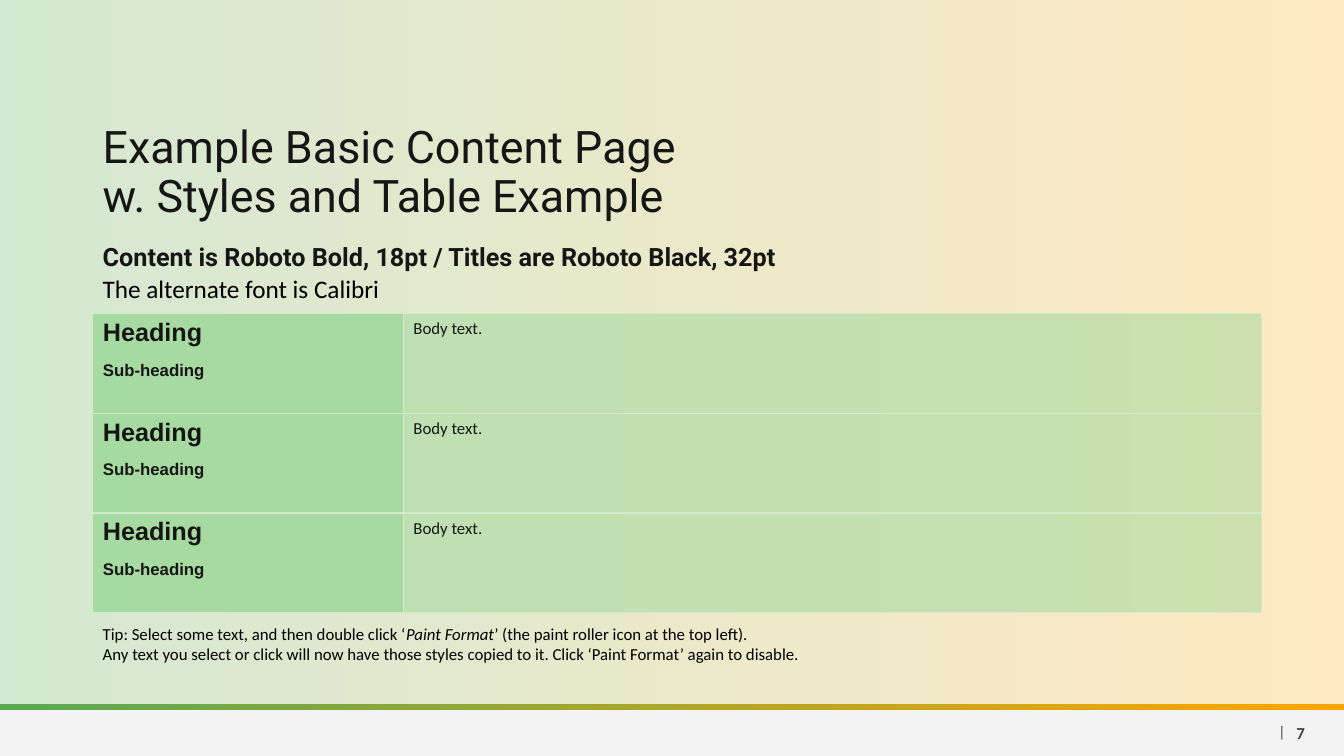
from dataclasses import dataclass
from typing import Optional

import pptx
import pptx.dml.color
import pptx.enum.shapes
import pptx.enum.text
import pptx.oxml
import pptx.oxml.ns
import pptx.util
from pptx.util import Inches

ALIGN = pptx.enum.text.PP_ALIGN
ANCHOR = pptx.enum.text.MSO_ANCHOR


@dataclass(frozen=True)
class Theme:
    ink: str = "171616"
    black: str = "000000"
    footer_ink: str = "434343"
    footer_fill: str = "F3F3F3"
    green: str = "5AA854"
    orange: str = "FFA500"
    cell: str = "9FD99A"
    grid: str = "D4E9CC"
    display: str = "Roboto"
    body: str = "Calibri"
    heading: str = "Arial"
    title_size: int = 32
    lead_size: int = 18
    small_size: int = 12
    divider_size: int = 11


THEME = Theme()


@dataclass(frozen=True)
class Style:
    font: str
    size: int
    color: str
    bold: bool = False


@dataclass(frozen=True)
class Span:
    text: str
    italic: bool = False


@dataclass(frozen=True)
class Box:
    left: float
    top: float
    width: float
    height: float

    def emu(self) -> tuple:
        return tuple(Inches(n) for n in (self.left, self.top, self.width, self.height))


@dataclass(frozen=True)
class Label:
    box: Box
    style: Style
    lines: list[list[Span]]
    align: ALIGN = ALIGN.LEFT
    anchor: ANCHOR = ANCHOR.TOP
    spacing: Optional[float] = None


@dataclass(frozen=True)
class Band:
    box: Box
    colors: tuple[str, ...]
    alphas: tuple[int, ...] = ()


@dataclass(frozen=True)
class Row:
    heading: str
    subheading: str
    body: str


LEFT, WIDTH = 0.92, 11.59
PAGE_WIDTH = 13.33
COLUMN_WIDTHS = (3.08, 8.51)
ROW_HEIGHT = 0.99
HEADING_ALPHA, BODY_ALPHA = 88, 52

HEADING = Style(THEME.heading, THEME.lead_size, THEME.ink, True)
SUBHEADING = Style(THEME.heading, THEME.small_size, THEME.ink, True)
CELL_BODY = Style(THEME.body, THEME.small_size, THEME.ink)
TIP = Style(THEME.body, THEME.small_size, THEME.black)

BANDS = [
    Band(Box(0, 0, PAGE_WIDTH, 7), (THEME.green, THEME.orange), (26, 24)),
    Band(Box(0, 7.04, PAGE_WIDTH, 0.46), (THEME.footer_fill,)),
    Band(Box(0, 6.98, PAGE_WIDTH, 0.06), (THEME.green, THEME.orange)),
]

LABELS = [
    Label(Box(12.76, 7.07, 0.82, 0.4),
          Style(THEME.body, THEME.small_size, THEME.footer_ink, True),
          [[Span("7")]], anchor=ANCHOR.MIDDLE),
    Label(Box(12.58, 7.06, 0.26, 0.4),
          Style(THEME.body, THEME.divider_size, THEME.footer_ink),
          [[Span("|")]], align=ALIGN.RIGHT, anchor=ANCHOR.MIDDLE),
    Label(Box(LEFT, 0.5, WIDTH, 1.75),
          Style(THEME.display, THEME.title_size, THEME.ink),
          [[Span("Example Basic Content Page")], [Span("w. Styles and Table Example")]],
          anchor=ANCHOR.BOTTOM, spacing=0.9),
    Label(Box(LEFT, 2.38, WIDTH, 0.4),
          Style(THEME.display, THEME.lead_size, THEME.ink, True),
          [[Span("Content is Roboto Bold, 18pt / Titles are Roboto Black, 32pt")]], spacing=0.9),
    Label(Box(LEFT, 2.66, WIDTH, 0.4),
          Style(THEME.body, THEME.lead_size, THEME.black),
          [[Span("The alternate font is Calibri")]]),
    Label(Box(LEFT, 6.14, WIDTH, 0.5), TIP, [
        [Span("Tip: Select some text, and then double click ‘"),
         Span("Paint Format", italic=True),
         Span("’ (the paint roller icon at the top left).")],
        [Span("Any text you select or click will now have those styles copied to it. "
              "Click ‘Paint Format’ again to disable.")],
    ]),
]

ROWS = [Row("Heading", "Sub-heading", "Body text.")] * 3


def rgb(color: str) -> pptx.dml.color.RGBColor:
    return pptx.dml.color.RGBColor.from_string(color)


def set_alpha(color_element, percent: int) -> None:
    alpha = color_element.makeelement(pptx.oxml.ns.qn("a:alpha"), {"val": str(percent * 1000)})
    color_element.append(alpha)


def write(paragraph, spans: list[Span], style: Style) -> None:
    for span in spans:
        run = paragraph.add_run()
        run.text = span.text
        run.font.name = style.font
        run.font.size = pptx.util.Pt(style.size)
        run.font.bold = style.bold
        run.font.italic = span.italic
        run.font.color.rgb = rgb(style.color)


def draw_band(slide, band: Band) -> None:
    bar = slide.shapes.add_shape(pptx.enum.shapes.MSO_SHAPE.RECTANGLE, *band.box.emu())
    bar.shadow.inherit = False
    bar.line.fill.background()
    if len(band.colors) == 1:
        bar.fill.solid()
        bar.fill.fore_color.rgb = rgb(band.colors[0])
        return
    bar.fill.gradient()
    bar.fill.gradient_angle = 0
    for stop, color in zip(bar.fill.gradient_stops, band.colors):
        stop.color.rgb = rgb(color)
    for color_element, alpha in zip(bar.element.iter(pptx.oxml.ns.qn("a:srgbClr")), band.alphas):
        set_alpha(color_element, alpha)


def draw_label(slide, label: Label) -> None:
    frame = slide.shapes.add_textbox(*label.box.emu()).text_frame
    frame.word_wrap = True
    frame.vertical_anchor = label.anchor
    for index, spans in enumerate(label.lines):
        paragraph = frame.add_paragraph() if index else frame.paragraphs[0]
        paragraph.alignment = label.align
        paragraph.line_spacing = label.spacing
        write(paragraph, spans, label.style)


def paint_cell(cell, alpha: int) -> None:
    properties = cell._tc.get_or_add_tcPr()
    for side in ("lnL", "lnR", "lnT", "lnB"):
        properties.append(pptx.oxml.parse_xml(
            f'<a:{side} {pptx.oxml.ns.nsdecls("a")} w="12700"><a:solidFill>'
            f'<a:srgbClr val="{THEME.grid}"/></a:solidFill></a:{side}>'))
    cell.fill.solid()
    cell.fill.fore_color.rgb = rgb(THEME.cell)
    set_alpha(properties.find(pptx.oxml.ns.qn("a:solidFill"))[0], alpha)


def draw_table(slide, rows: list[Row]) -> None:
    box = Box(LEFT, 3.11, WIDTH, ROW_HEIGHT * len(rows))
    table = slide.shapes.add_table(len(rows), len(COLUMN_WIDTHS), *box.emu()).table
    table.first_row = table.horz_banding = False
    for column, width in zip(table.columns, COLUMN_WIDTHS):
        column.width = Inches(width)
    for index, row in enumerate(rows):
        table.rows[index].height = Inches(ROW_HEIGHT)
        topic, detail = table.cell(index, 0), table.cell(index, 1)
        paint_cell(topic, HEADING_ALPHA)
        paint_cell(detail, BODY_ALPHA)
        write(topic.text_frame.paragraphs[0], [Span(row.heading)], HEADING)
        subheading = topic.text_frame.add_paragraph()
        subheading.space_before = pptx.util.Pt(10)
        write(subheading, [Span(row.subheading)], SUBHEADING)
        write(detail.text_frame.paragraphs[0], [Span(row.body)], CELL_BODY)


def main() -> None:
    deck = pptx.Presentation()
    deck.slide_width, deck.slide_height = Inches(PAGE_WIDTH), Inches(7.5)
    slide = deck.slides.add_slide(deck.slide_layouts[6])
    for band in BANDS:
        draw_band(slide, band)
    for label in LABELS:
        draw_label(slide, label)
    draw_table(slide, ROWS)
    deck.save("out.pptx")


if __name__ == "__main__":
    main()
